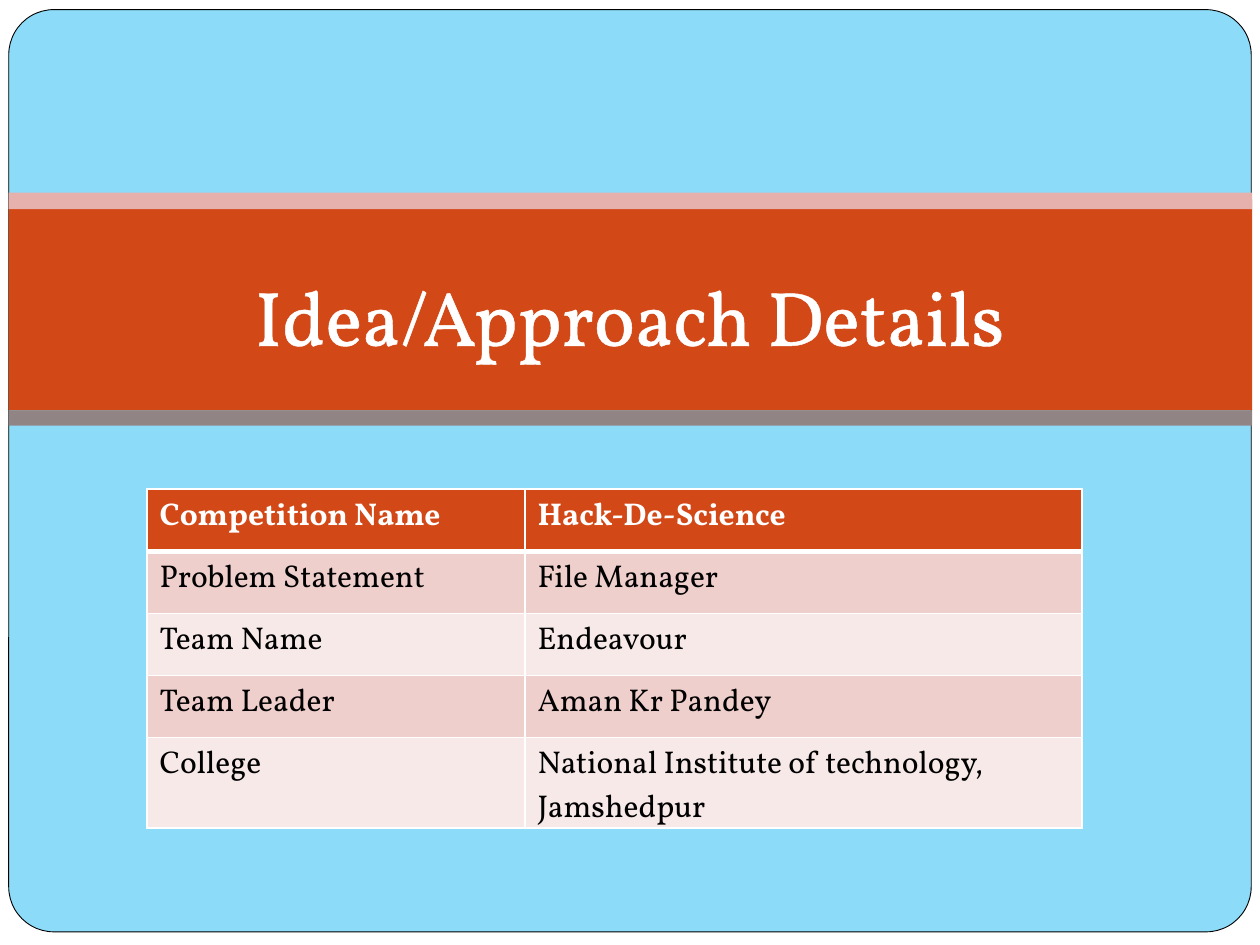
import pptx
import pptx.util
import pptx.dml.color
import pptx.enum.shapes
import pptx.enum.text
import pptx.oxml
import pptx.oxml.ns
from lxml import etree

Pt = pptx.util.Pt
SHAPE = pptx.enum.shapes.MSO_SHAPE
ALIGN = pptx.enum.text.PP_ALIGN
FONT = "Vollkorn"
COLORS = {
    "sky": "00B0F0", "band": "D34817", "band_top": "E6B1AC",
    "band_bottom": "918485", "row_dark": "EFCFCC", "row_light": "F7E9E8",
    "white": "FFFFFF", "black": "000000",
}
DETAILS = [
    ("Competition Name", "Hack-De-Science"),
    ("Problem Statement", "File Manager"),
    ("Team Name", "Endeavour"),
    ("Team Leader", "Aman Kr Pandey"),
    ("College", "National Institute of technology, Jamshedpur"),
]
COLUMN_WIDTHS = [216, 318.25]
ROW_HEIGHTS = [35.5, 35.5, 35.5, 35.5, 51.75]


def rgb(name):
    """Return the named colour."""
    return pptx.dml.color.RGBColor.from_string(COLORS[name])


def line_xml(tag, color, width):
    """Return a solid line element for a cell edge or a text outline."""
    line = etree.Element(pptx.oxml.ns.qn(tag), w=str(Pt(width)))
    fill = etree.SubElement(line, pptx.oxml.ns.qn("a:solidFill"))
    etree.SubElement(fill, pptx.oxml.ns.qn("a:srgbClr"), val=COLORS[color])
    return line


def write(frame, text, size=18, color="black", bold=False, align=ALIGN.LEFT,
          outline=None):
    """Put formatted text in a text frame."""
    paragraph = frame.paragraphs[0]
    paragraph.alignment = align
    run = paragraph.add_run()
    run.text = text
    run.font.name = FONT
    run.font.size = Pt(size)
    run.font.bold = bold
    run.font.color.rgb = rgb(color)
    if outline:
        run.font._element.insert(0, line_xml("a:ln", color, outline))


def add_panel(slide, kind, box, color, alpha=None, line=None):
    """Add a filled shape, optionally translucent and outlined."""
    panel = slide.shapes.add_shape(kind, *map(Pt, box))
    panel.shadow.inherit = False
    panel.fill.solid()
    panel.fill.fore_color.rgb = rgb(color)
    if alpha:
        tint = panel._element.spPr.find(".//" + pptx.oxml.ns.qn("a:srgbClr"))
        etree.SubElement(tint, pptx.oxml.ns.qn("a:alpha"), val=str(alpha * 1000))
    if line:
        panel.line.color.rgb = rgb(line)
        panel.line.width = Pt(0.5)
    else:
        panel.line.fill.background()
    return panel


def add_backdrop(slide):
    """Add the rounded card and the title band with its two edges."""
    card = add_panel(slide, SHAPE.ROUNDED_RECTANGLE, (5, 5.5, 710, 527),
                     "sky", alpha=45, line="black")
    card.adjustments[0] = 0.049
    for top, height, color in [(114, 120.5, "band"), (110, 9.5, "band_top"),
                               (234.5, 8.75, "band_bottom")]:
        add_panel(slide, SHAPE.RECTANGLE, (5, top, 710.5, height), color)


def place_title(slide, text):
    """Move the title onto the band, in front of the backdrop."""
    title = slide.shapes.title
    slide.shapes._spTree.append(title._element)
    title.left, title.top, title.width, title.height = map(Pt, (0, 150, 720, 60.5))
    frame = title.text_frame
    frame.word_wrap = True
    frame.auto_size = pptx.enum.text.MSO_AUTO_SIZE.SHAPE_TO_FIT_TEXT
    frame.vertical_anchor = pptx.enum.text.MSO_ANCHOR.TOP
    write(frame, text, size=44, color="white", align=ALIGN.CENTER, outline=1.45)


def style_cell(cell, fill, bottom_width, top_width):
    """Fill a cell and give it white edges."""
    cell.margin_bottom = 0
    properties = cell._tc.get_or_add_tcPr()
    for tag, width in [("a:lnL", 1), ("a:lnR", 1), ("a:lnT", top_width),
                       ("a:lnB", bottom_width)]:
        properties.append(line_xml(tag, "white", width))
    cell.fill.solid()
    cell.fill.fore_color.rgb = rgb(fill)


def add_details(slide):
    """Add the table of team details."""
    details = slide.shapes.add_table(
        len(DETAILS), 2, Pt(84), Pt(279.5), Pt(sum(COLUMN_WIDTHS)),
        Pt(sum(ROW_HEIGHTS))).table
    for column, width in zip(details.columns, COLUMN_WIDTHS):
        column.width = Pt(width)
    for index, entry in enumerate(DETAILS):
        details.rows[index].height = Pt(ROW_HEIGHTS[index])
        header = index == 0
        fill = "band" if header else ("row_light", "row_dark")[index % 2]
        for position, text in enumerate(entry):
            cell = details.cell(index, position)
            style_cell(cell, fill, bottom_width=3 if header else 1,
                       top_width=3 if index == 1 else 1)
            write(cell.text_frame, text, bold=header,
                  color="white" if header else "black")


def main():
    """Build and save the slide."""
    deck = pptx.Presentation()
    deck.slide_width, deck.slide_height = Pt(720), Pt(540)
    slide = deck.slides.add_slide(deck.slide_layouts[5])
    slide.background.fill.solid()
    slide.background.fill.fore_color.rgb = rgb("white")
    add_backdrop(slide)
    place_title(slide, "Idea/Approach Details")
    add_details(slide)
    deck.save("out.pptx")


main()
